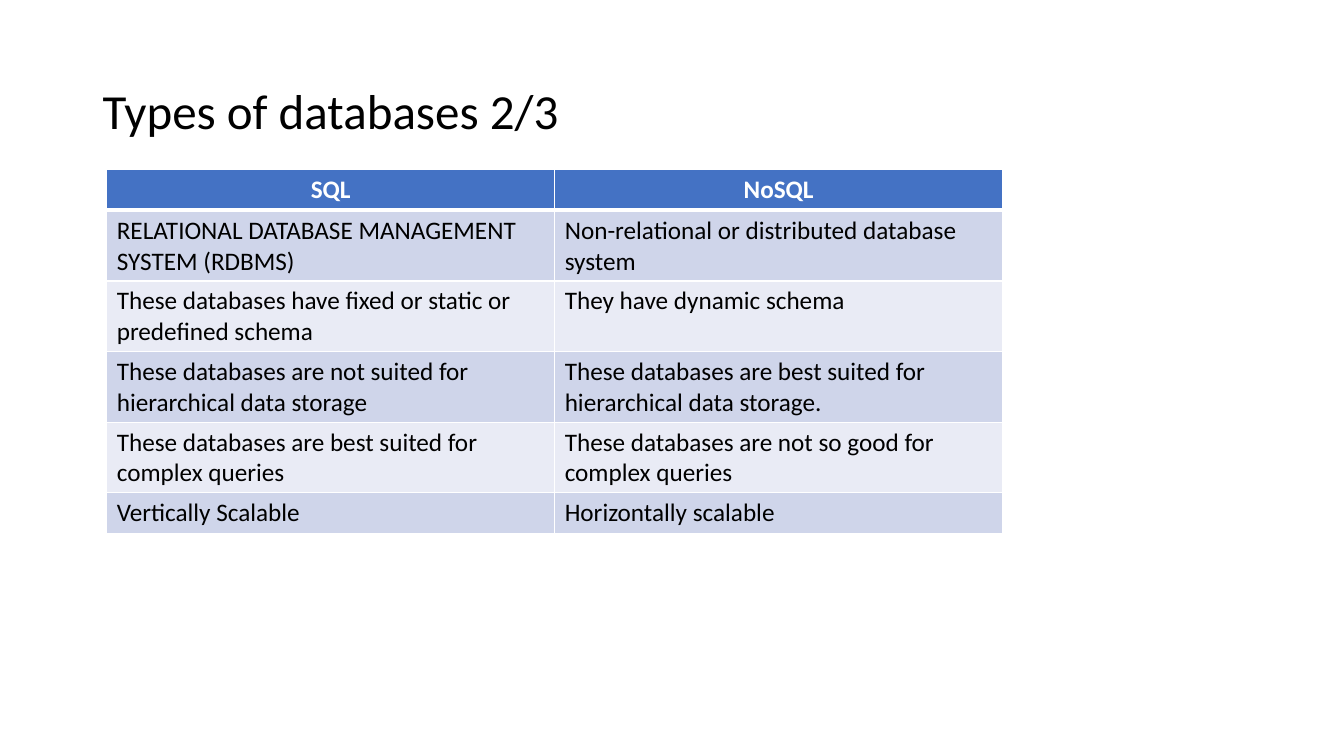
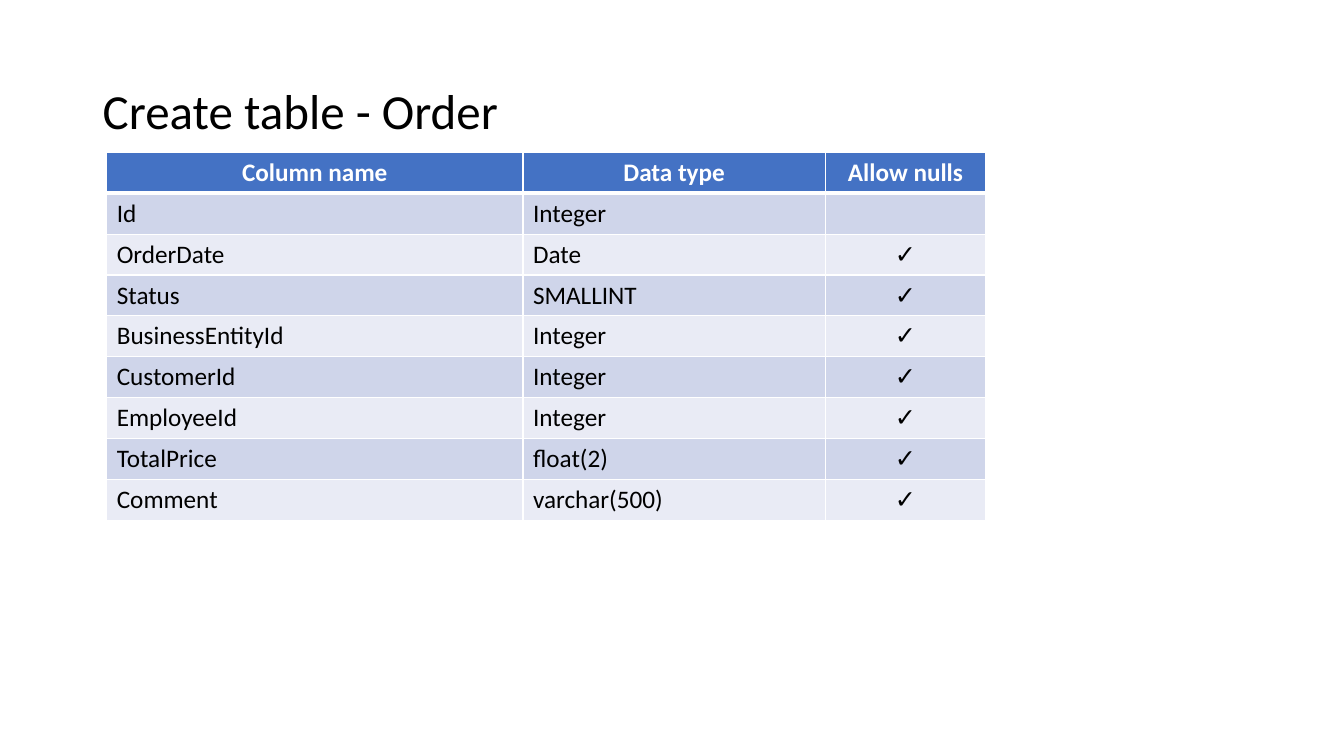
from lxml.etree import SubElement
from pptx import Presentation
from pptx.dml.color import RGBColor
from pptx.enum.text import MSO_ANCHOR as Anchor, PP_ALIGN as Align
from pptx.oxml.ns import qn
from pptx.util import Cm, Pt

BLACK = RGBColor(0x00, 0x00, 0x00)
WHITE = RGBColor(0xFF, 0xFF, 0xFF)
HEADER_BLUE = RGBColor(0x44, 0x72, 0xC4)
BAND_FILLS = (RGBColor(0xCF, 0xD5, 0xEA), RGBColor(0xE9, 0xEB, 0xF5))

FONT = "Calibri"
TABLE_LEFT = Cm(2.69)
ROW_HEIGHT = Cm(1.03)
CHECK = "✓"

DATABASE_TYPES = [
    ("SQL", "NoSQL"),
    ("RELATIONAL DATABASE MANAGEMENT SYSTEM (RDBMS)",
     "Non-relational or distributed database system"),
    ("These databases have fixed or static or predefined schema",
     "They have dynamic schema"),
    ("These databases are not suited for hierarchical data storage",
     "These databases are best suited for hierarchical data storage."),
    ("These databases are best suited for complex queries",
     "These databases are not so good for complex queries"),
    ("Vertically Scalable", "Horizontally scalable"),
]

ORDER_COLUMNS = [
    ("Column name", "Data type", "Allow nulls"),
    ("Id", "Integer", ""),
    ("OrderDate", "Date", CHECK),
    ("Status", "SMALLINT", CHECK),
    ("BusinessEntityId", "Integer", CHECK),
    ("CustomerId", "Integer", CHECK),
    ("EmployeeId", "Integer", CHECK),
    ("TotalPrice", "float(2)", CHECK),
    ("Comment", "varchar(500)", CHECK),
]


def write_text(frame, text, size=18, color=BLACK, bold=False,
               align=Align.LEFT, line_spacing=None):
    paragraph = frame.paragraphs[0]
    paragraph.alignment = align
    paragraph.line_spacing = line_spacing
    run = paragraph.add_run()
    run.text = text
    run.font.name = FONT
    run.font.size = Pt(size)
    run.font.bold = bold
    run.font.color.rgb = color


def add_title(slide, text):
    title = slide.shapes.add_textbox(Cm(2.34), Cm(1.88), Cm(29.21), Cm(1.96))
    frame = title.text_frame
    frame.word_wrap = True
    frame.vertical_anchor = Anchor.MIDDLE
    write_text(frame, text, size=35, line_spacing=0.9)


def set_borders(cell, top=1, bottom=1):
    properties = cell._tc.get_or_add_tcPr()
    for side, width in (("L", 1), ("R", 1), ("T", top), ("B", bottom)):
        line = SubElement(properties, qn(f"a:ln{side}"), w=str(Pt(width)))
        fill = SubElement(line, qn("a:solidFill"))
        SubElement(fill, qn("a:srgbClr"), val=str(WHITE))


def format_cell(cell, text, row):
    is_header = row == 0
    set_borders(cell, top=3 if row == 1 else 1, bottom=3 if is_header else 1)
    cell.fill.solid()
    cell.fill.fore_color.rgb = HEADER_BLUE if is_header else BAND_FILLS[(row - 1) % 2]
    if text:
        centered = is_header or text == CHECK
        write_text(cell.text_frame, text, bold=is_header,
                   color=WHITE if is_header else BLACK,
                   align=Align.CENTER if centered else Align.LEFT)


def add_banded_table(slide, rows, top, column_widths):
    table = slide.shapes.add_table(
        len(rows), len(column_widths), TABLE_LEFT, top,
        sum(column_widths), ROW_HEIGHT * len(rows)).table
    for column, width in zip(table.columns, column_widths):
        column.width = width
    for row, texts in enumerate(rows):
        table.rows[row].height = ROW_HEIGHT
        for column, text in enumerate(texts):
            format_cell(table.cell(row, column), text, row)


def add_table_slide(deck, title, rows, top, column_widths):
    slide = deck.slides.add_slide(deck.slide_layouts[6])
    add_title(slide, title)
    add_banded_table(slide, rows, top, column_widths)


def main():
    deck = Presentation()
    deck.slide_width, deck.slide_height = Cm(33.87), Cm(19.05)
    add_table_slide(deck, "Types of databases 2/3", DATABASE_TYPES,
                    Cm(4.27), [Cm(11.29)] * 2)
    add_table_slide(deck, "Create table - Order", ORDER_COLUMNS,
                    Cm(3.84), [Cm(10.49), Cm(7.62), Cm(4.04)])
    deck.save("out.pptx")


if __name__ == "__main__":
    main()
